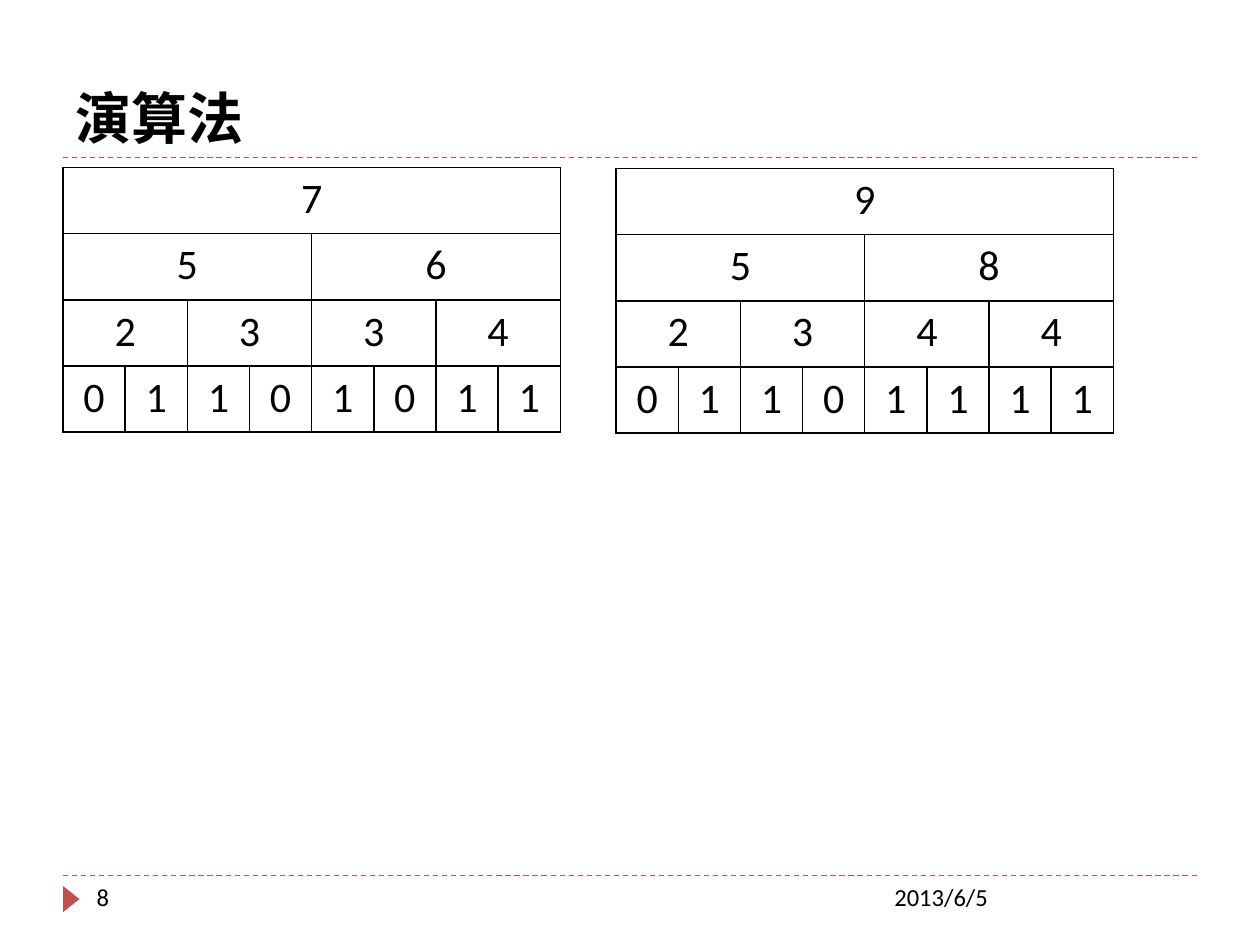
from lxml import etree
from pptx import Presentation
from pptx.dml.color import RGBColor
from pptx.enum.dml import MSO_LINE
from pptx.enum.shapes import MSO_CONNECTOR, MSO_SHAPE
from pptx.enum.text import MSO_ANCHOR, PP_ALIGN
from pptx.oxml import parse_xml
from pptx.oxml.ns import nsdecls, qn
from pptx.util import Cm, Pt

BLACK = RGBColor(0x00, 0x00, 0x00)
RED = RGBColor(0xC0, 0x50, 0x4D)
DASH = MSO_LINE.DASH
STRAIGHT = MSO_CONNECTOR.STRAIGHT
TRIANGLE = MSO_SHAPE.ISOSCELES_TRIANGLE
TOP, BOTTOM = MSO_ANCHOR.TOP, MSO_ANCHOR.BOTTOM
CENTER = PP_ALIGN.CENTER

BODY_FONT = "Calibri"
TITLE_FONT = "Noto Sans CJK SC"
LEFT_TREE = ["7", "56", "2334", "01101011"]
RIGHT_TREE = ["9", "58", "2344", "01101111"]


def style_paragraph(paragraph, size, name=BODY_FONT, bold=False):
    paragraph.font.size = Pt(size)
    paragraph.font.bold = bold
    paragraph.font.color.rgb = BLACK
    paragraph.font.name = name
    properties = paragraph._p.pPr.find(qn("a:defRPr"))
    etree.SubElement(properties, qn("a:ea")).set("typeface", name)


def add_text(slide, text, left, top, width, height, size, anchor=TOP, **font):
    shape = slide.shapes.add_textbox(Cm(left), Cm(top), Cm(width), Cm(height))
    frame = shape.text_frame
    frame.word_wrap = True
    frame.vertical_anchor = anchor
    frame.text = text
    style_paragraph(frame.paragraphs[0], size, **font)


def add_rule(slide, top):
    rule = slide.shapes.add_connector(
        STRAIGHT, Cm(1.27), Cm(top), Cm(24.13), Cm(top))
    rule.line.color.rgb = RED
    rule.line.width = Pt(0.75)
    rule.line.dash_style = DASH
    etree.SubElement(rule._element.spPr, qn("a:effectLst"))


def add_marker(slide):
    shape = slide.shapes.add_shape(
        TRIANGLE, Cm(1.17), Cm(17.96), Cm(0.53), Cm(0.33))
    shape.rotation = 90
    shape.shadow.inherit = False
    shape.fill.solid()
    shape.fill.fore_color.rgb = RED
    shape.line.fill.background()


def set_borders(cell):
    properties = cell._tc.get_or_add_tcPr()
    for position, side in enumerate(("lnL", "lnR", "lnT", "lnB")):
        properties.insert(position, parse_xml(
            f'<a:{side} {nsdecls("a")} w="{Pt(1)}"><a:solidFill>'
            f'<a:srgbClr val="{BLACK}"/></a:solidFill></a:{side}>'))


def add_tree_table(slide, levels, left, top):
    columns = len(levels[-1])
    table = slide.shapes.add_table(
        len(levels), columns, Cm(left), Cm(top), Cm(10.03), Cm(5.33)).table
    table.first_row = False
    table.horz_banding = False
    for cell in table.iter_cells():
        cell.fill.background()
        set_borders(cell)
    for row, values in enumerate(levels):
        span = columns // len(values)
        for index, value in enumerate(values):
            cell = table.cell(row, index * span)
            if span > 1:
                cell.merge(table.cell(row, (index + 1) * span - 1))
            cell.text = value
            paragraph = cell.text_frame.paragraphs[0]
            paragraph.alignment = CENTER
            style_paragraph(paragraph, 24)


def main():
    """Build the slide with two tree tables."""
    presentation = Presentation()
    presentation.slide_width = Cm(25.4)
    presentation.slide_height = Cm(19.05)
    slide = presentation.slides.add_slide(presentation.slide_layouts[6])
    add_rule(slide, 17.65)
    add_rule(slide, 3.17)
    add_marker(slide)
    add_text(slide, "演算法", 1.27, 0.43, 22.86, 2.74, 32, BOTTOM,
             name=TITLE_FONT, bold=True)
    add_text(slide, "2013/6/5", 17.78, 17.65, 6.35, 1.02, 14)
    add_text(slide, "8", 1.7, 17.65, 5.51, 1.02, 14)
    add_tree_table(slide, LEFT_TREE, 1.27, 3.38)
    add_tree_table(slide, RIGHT_TREE, 12.42, 3.4)
    presentation.save("out.pptx")


if __name__ == "__main__":
    main()
